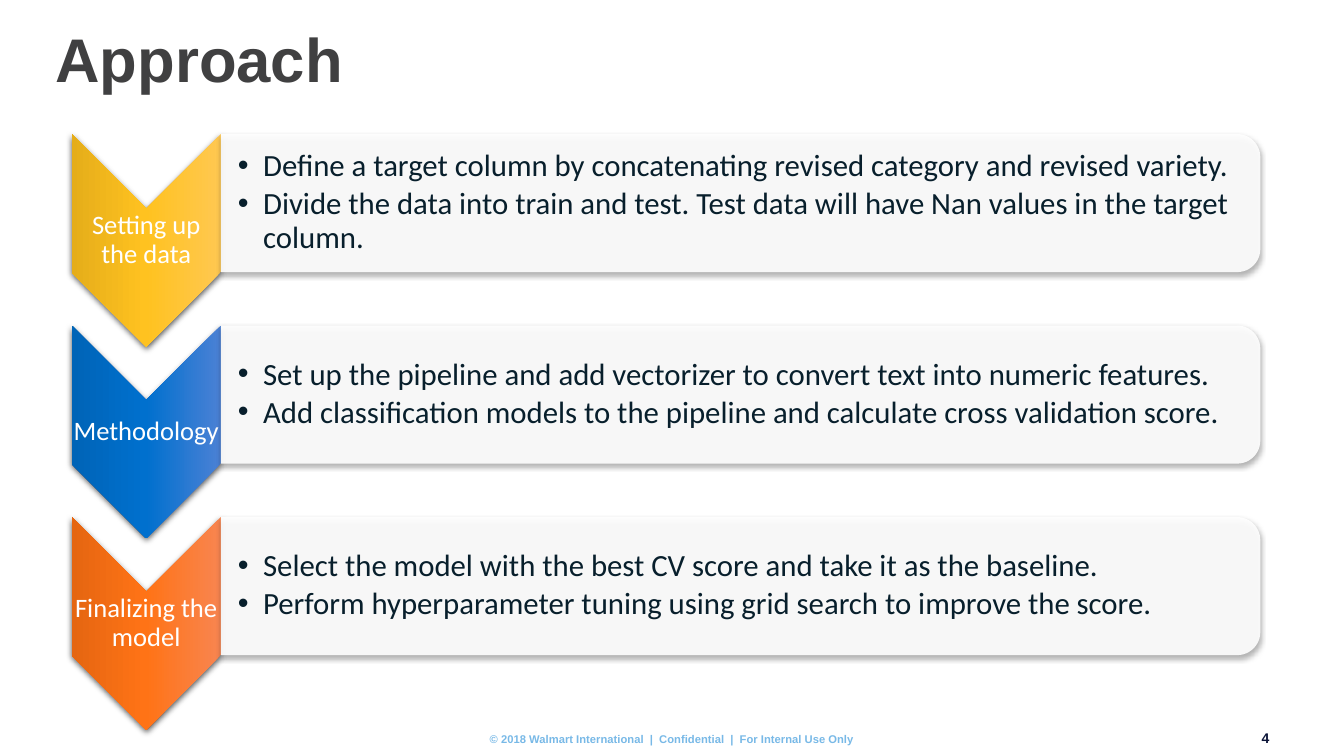
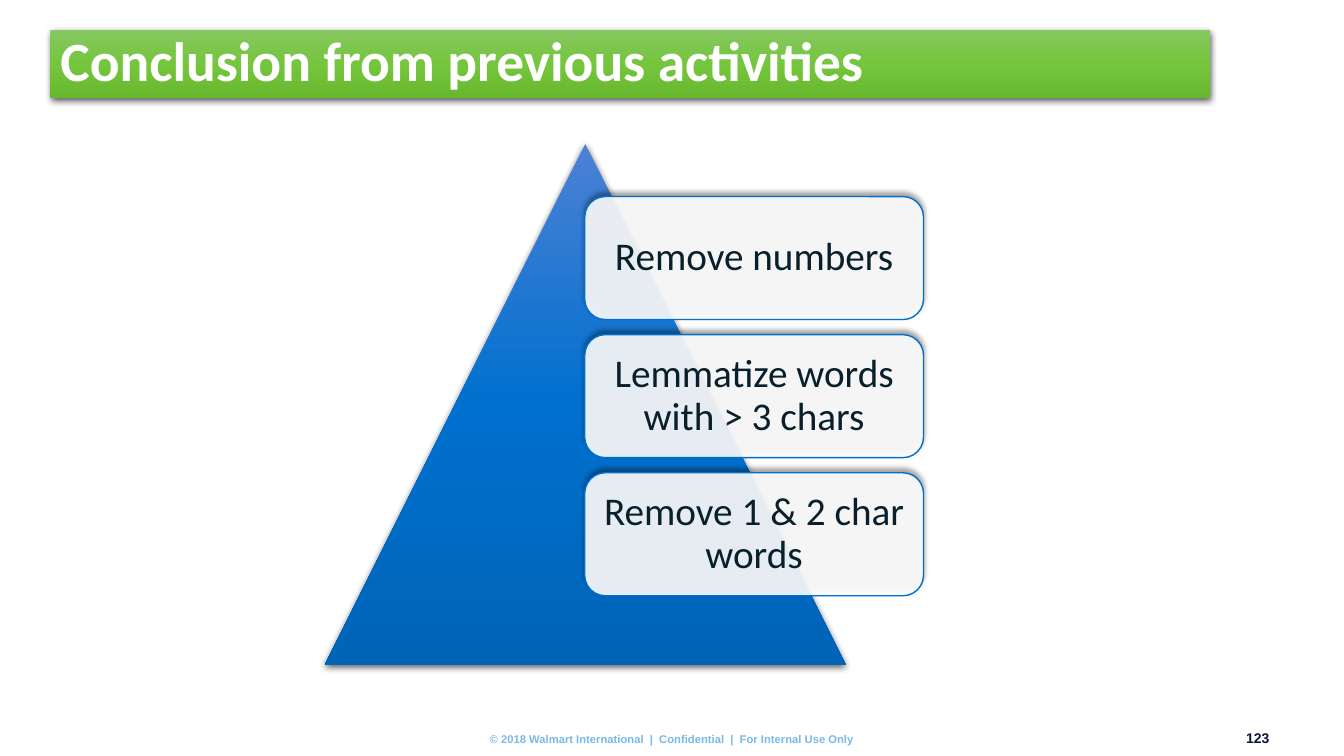
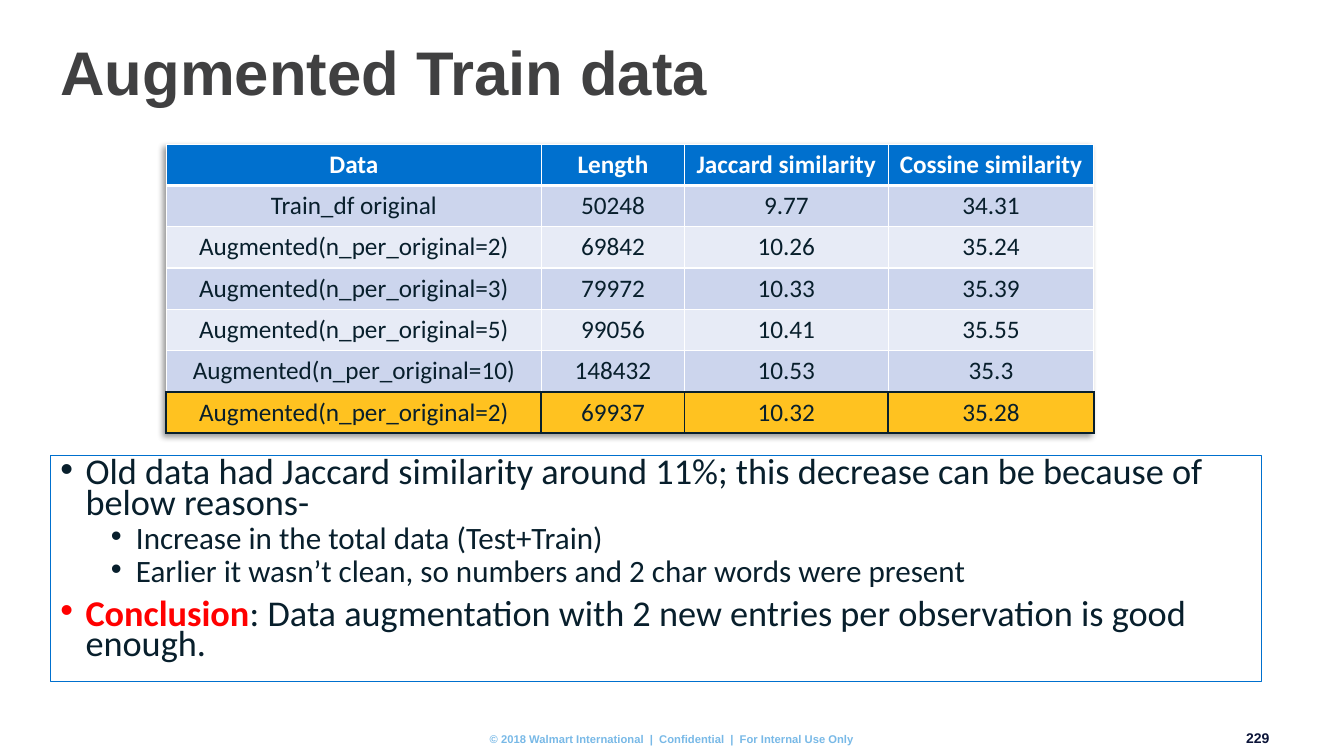
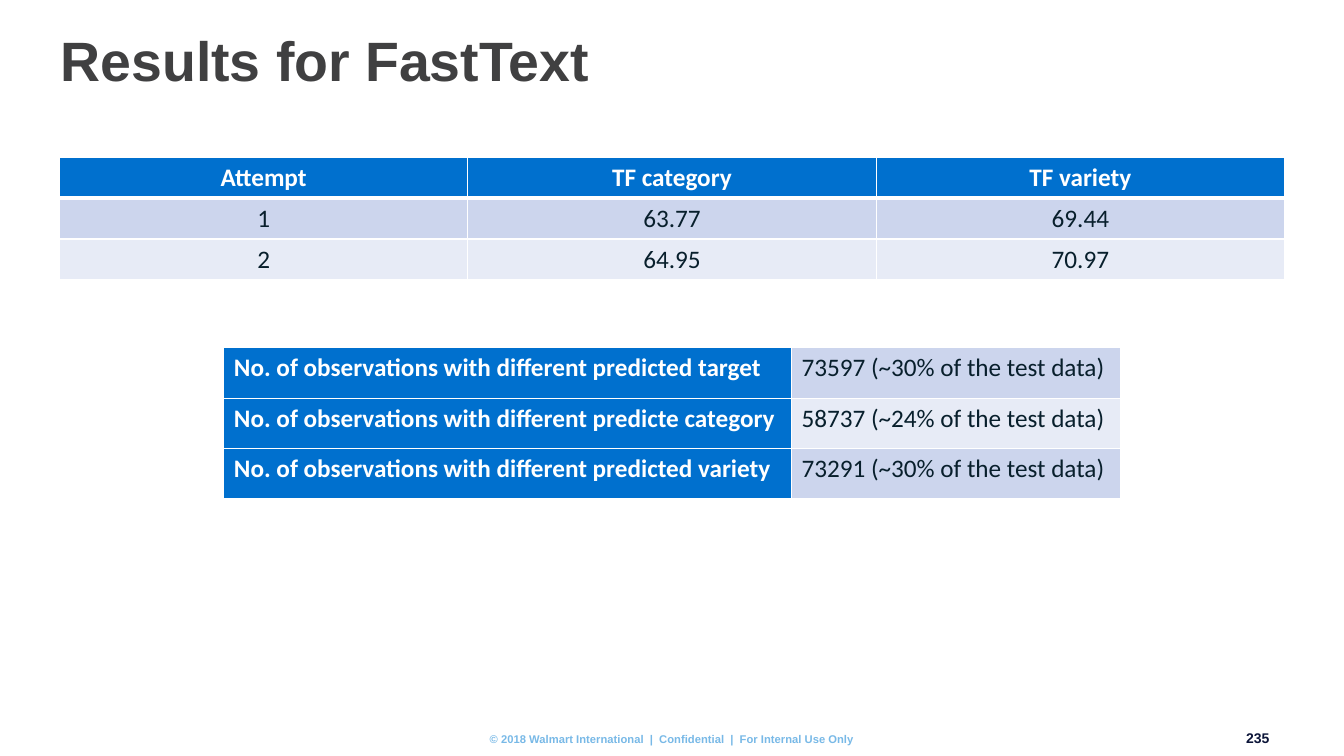
from copy import deepcopy

from lxml.etree import SubElement
from pptx import Presentation
from pptx.dml.color import RGBColor
from pptx.enum.shapes import MSO_SHAPE
from pptx.enum.text import MSO_ANCHOR, MSO_AUTO_SIZE, PP_ALIGN
from pptx.oxml.ns import qn
from pptx.util import Emu, Pt

PX = 9144  # EMU in one px, 100 px to the inch

COLORS = {
    "white": "FFFFFF", "ink": "081F2C", "title": "404041", "number": "0B1438",
    "footer": "78B9E7", "blue": "0070CE", "yellow": "FFC220", "red": "FF0000",
    "band_dark": "CCD5ED", "band_light": "E7EBF6", "black": "000000",
}
GRADIENTS = {
    "yellow": ("FFC851", "FFC220", "E5AD1A"),
    "blue": ("4B81D5", "0070CE", "0064B7"),
    "orange": ("F88550", "FF7316", "E56611"),
    "green": ("86C760", "75C63D", "67B72F"),
}
# Opacity in percent, blur and distance in points, direction in degrees
SHADOWS = {
    "strong": (63, 4.5, 1.5, 90),
    "soft": (32, 3.5, 2.2, 90),
    "upward": (40, 4, 3, 270),
    "table": (40, 4, 3, 135),
}
FOOTER = "© 2018 Walmart International  |  Confidential  |  For Internal Use Only"


def rgb(name):
    return RGBColor.from_string(COLORS[name])


def px(value):
    return Emu(int(value * PX))


class Deck:
    """The shared style and the page being drawn."""

    def __init__(self):
        self.deck = Presentation()
        self.deck.slide_width, self.deck.slide_height = px(1333), px(750)
        self.page = None

    def add_page(self, title, number, box, **style):
        self.page = self.deck.slides.add_slide(self.deck.slide_layouts[5])
        heading = self.page.shapes.title
        heading.left, heading.top, heading.width, heading.height = map(px, box)
        look = {"name": "Arial", "size": 44, "color": "title", "bold": True, **style}
        self.fill_frame(heading.text_frame, [title], align=PP_ALIGN.LEFT, spacing=0.9, **look)
        # Footer and page number
        self.text((455, 727, 423, 13), [FOOTER], inset=(0, 0, 0, 0), name="Arial",
                  size=8, color="footer", bold=True, align=PP_ALIGN.CENTER)
        self.text((1229, 724, 30, 17), [str(number)], inset=(0, 0, 0, 0), name="Arial",
                  size=10, color="number", bold=True, align=PP_ALIGN.RIGHT)
        return heading

    def fill_frame(self, frame, paragraphs, inset=(10, 5, 10, 5), anchor=MSO_ANCHOR.MIDDLE,
                   **style):
        """Each paragraph is a string or a pair of spans and its own style."""
        sides = ("margin_left", "margin_top", "margin_right", "margin_bottom")
        values = {"word_wrap": True, "auto_size": MSO_AUTO_SIZE.NONE,
                  "vertical_anchor": anchor, **dict(zip(sides, map(px, inset)))}
        for key, value in values.items():
            setattr(frame, key, value)
        for index, item in enumerate(paragraphs):
            spans, own = ([(item, {})], {}) if isinstance(item, str) else item
            para = frame.paragraphs[0] if index == 0 else frame.add_paragraph()
            self.fill_para(para, spans, index == 0, **{**style, **own})

    def fill_para(self, para, spans, first, align=PP_ALIGN.LEFT, spacing=1.0, before=0,
                  bullet=None, **style):
        if bullet is not None:
            props = para._p.get_or_add_pPr()
            props.set("marL", str(px(bullet)))
            props.set("indent", str(px(-25)))
            SubElement(props, qn("a:buFont"), typeface="Arial")
            SubElement(props, qn("a:buChar"), char="•")
        values = {"alignment": align, "line_spacing": spacing,
                  "space_before": Pt(0 if first else before), "space_after": Pt(0)}
        for key, value in values.items():
            setattr(para, key, value)
        for words, own in spans:
            span = para.add_run()
            span.text = words
            look = {"name": "Calibri", "size": 18, "color": "ink", "bold": False,
                    **style, **own}
            span.font.color.rgb = rgb(look.pop("color"))
            look["size"] = Pt(look["size"])
            for key, value in look.items():
                setattr(span.font, key, value)

    def text(self, box, paragraphs, **style):
        shape = self.page.shapes.add_textbox(*map(px, box))
        self.fill_frame(shape.text_frame, paragraphs, **style)
        return shape

    def shape(self, kind, box, turned=False, **paint):
        """The box is the place as seen, also for a shape turned by 90 degrees."""
        left, top, width, height = box
        if turned:
            shift = (width - height) / 2
            left, top, width, height = left + shift, top - shift, height, width
        shape = self.page.shapes.add_shape(kind, *map(px, (left, top, width, height)))
        shape.rotation = 90 if turned else 0
        self.paint(shape, **paint)
        return shape

    def paint(self, shape, gradient=None, fill="white", opacity=100, line=None, shadow=None):
        props = shape._element.spPr
        if gradient:
            shape.fill.gradient()
            stops = props.find(qn("a:gradFill")).find(qn("a:gsLst"))
            stops.append(deepcopy(stops[-1]))
            shape.fill.gradient_angle = 270
            for index, stop in enumerate(shape.fill.gradient_stops):
                stop.position = index / 2
                stop.color.rgb = RGBColor.from_string(GRADIENTS[gradient][index])
        else:
            shape.fill.solid()
            shape.fill.fore_color.rgb = rgb(fill)
            if opacity < 100:
                color = props.find(qn("a:solidFill")).find(qn("a:srgbClr"))
                SubElement(color, qn("a:alpha"), val=str(opacity * 1000))
        if line:
            shape.line.color.rgb = rgb(line)
            shape.line.width = Pt(1)
        else:
            shape.line.fill.background()
        shape.shadow.inherit = False
        if shadow:
            self.cast(props.find(qn("a:effectLst")), shadow)

    def cast(self, effects, shadow):
        opacity, blur, distance, angle = SHADOWS[shadow]
        outer = SubElement(effects, qn("a:outerShdw"), blurRad=str(Pt(blur)),
                           dist=str(Pt(distance)), dir=str(angle * 60000),
                           algn="ctr", rotWithShape="0")
        color = SubElement(outer, qn("a:srgbClr"), val=COLORS["black"])
        SubElement(color, qn("a:alpha"), val=str(opacity * 1000))

    def table(self, left, top, widths, row_height, rows, head="row", marked=None,
              align=PP_ALIGN.CENTER, shadow=None):
        frame = self.page.shapes.add_table(
            len(rows), len(widths), px(left), px(top), px(sum(widths)),
            px(row_height * len(rows)))
        table = frame.table
        table.first_row = table.horz_banding = False
        if shadow:
            props = table._tbl.tblPr
            effects = SubElement(props, qn("a:effectLst"))
            props.insert(0, effects)
            self.cast(effects, shadow)
        for column, width in zip(table.columns, widths):
            column.width = px(width)
        by_row = head == "row"

        def edge(index):
            """Colour and weight of the rule above a row."""
            if marked is not None and index in (marked, marked + 1):
                return "ink", 1.5
            return "white", 3 if by_row and index == 1 else 1

        for r, values in enumerate(rows):
            table.rows[r].height = px(row_height)
            side = ("ink", 1.5) if r == marked else ("white", 1)
            for c, value in enumerate(values):
                cell = table.cell(r, c)
                heading = (r if by_row else c) == 0
                band = ("band_dark", "band_light")[(r - by_row) % 2]
                fill = "blue" if heading else "yellow" if r == marked else band
                self.borders(cell, lnL=side, lnR=side, lnT=edge(r), lnB=edge(r + 1))
                cell.fill.solid()
                cell.fill.fore_color.rgb = rgb(fill)
                self.fill_para(cell.text_frame.paragraphs[0], [(value, {})], True,
                               align=align, bold=heading,
                               color="white" if heading else "ink")

    def borders(self, cell, **edges):
        props = cell._tc.get_or_add_tcPr()
        for tag, (color, weight) in edges.items():
            line = SubElement(props, qn("a:" + tag), w=str(Pt(weight)))
            SubElement(SubElement(line, qn("a:solidFill")), qn("a:srgbClr"), val=COLORS[color])


def approach(deck):
    deck.add_page("Approach", 4, (45, 16, 1150, 93))
    steps = [
        ("yellow", "Setting up the data", [
            "Define a target column by concatenating revised category and revised variety.",
            "Divide the data into train and test. Test data will have Nan values in the "
            "target column."]),
        ("blue", "Methodology", [
            "Set up the pipeline and add vectorizer to convert text into numeric features.",
            "Add classification models to the pipeline and calculate cross validation score."]),
        ("orange", "Finalizing the model", [
            "Select the model with the best CV score and take it as the baseline.",
            "Perform hyperparameter tuning using grid search to improve the score."]),
    ]
    for index, (gradient, label, points) in enumerate(steps):
        top = 133 + index * 190
        deck.shape(MSO_SHAPE.CHEVRON, (71, top, 148, 211), turned=True,
                   gradient=gradient, shadow="strong")
        deck.text((71, top + 74, 148, 63), [label], inset=(1, 1, 1, 1), size=19,
                  color="white", align=PP_ALIGN.CENTER, spacing=0.9)
        deck.shape(MSO_SHAPE.ROUND_2_SAME_RECTANGLE, (219, top, 1031, 137), turned=True,
                   opacity=90, shadow="soft")
        deck.text((219, top + 6, 1024, 124), points, inset=(17, 2, 2, 2), size=22,
                  spacing=0.9, before=3.3, bullet=25)


def conclusion(deck):
    heading = deck.add_page("Conclusion from previous activities", 123, (50, 30, 1150, 67),
                            name="Calibri", size=39.6, color="white")
    deck.paint(heading, gradient="green", shadow="strong")
    deck.shape(MSO_SHAPE.ISOSCELES_TRIANGLE, (322, 143, 517, 517),
               gradient="blue", shadow="strong")
    actions = ["Remove numbers", "Lemmatize words with > 3 chars", "Remove 1 & 2 char words"]
    for index, action in enumerate(actions):
        card = deck.shape(MSO_SHAPE.ROUNDED_RECTANGLE, (580, 195 + index * 137, 336, 122),
                          opacity=90, line="blue", shadow="upward")
        deck.fill_frame(card.text_frame, [action], inset=(12, 12, 12, 12), size=28,
                        align=PP_ALIGN.CENTER, spacing=0.9)


def augmented_data(deck):
    deck.add_page("Augmented Train data", 229, (50, 32, 1150, 85))
    # Findings
    findings = deck.shape(MSO_SHAPE.RECTANGLE, (50, 452, 1201, 224), line="blue")
    minor = {"bullet": 75, "size": 22.2, "before": 5}
    deck.fill_frame(findings.text_frame, [
        "Old data had Jaccard similarity around 11%; this decrease can be because of "
        "below reasons-",
        ([("Increase in the total data (Test+Train)", {})], minor),
        ([("Earlier it wasn’t clean, so numbers and 2 char words were present", {})], minor),
        ([("Conclusion", {"color": "red", "bold": True}),
          (": Data augmentation with 2 new entries per observation is good enough.", {})], {}),
    ], anchor=MSO_ANCHOR.TOP, size=25.9, spacing=0.7, before=10, bullet=25)
    # Similarity by data set
    deck.table(165, 143, (372, 142, 202, 204), 41, [
        ("Data", "Length", "Jaccard similarity", "Cossine similarity"),
        ("Train_df original", "50248", "9.77", "34.31"),
        ("Augmented(n_per_original=2)", "69842", "10.26", "35.24"),
        ("Augmented(n_per_original=3)", "79972", "10.33", "35.39"),
        ("Augmented(n_per_original=5)", "99056", "10.41", "35.55"),
        ("Augmented(n_per_original=10)", "148432", "10.53", "35.3"),
        ("Augmented(n_per_original=2)", "69937", "10.32", "35.28"),
    ], marked=6, shadow="table")


def results(deck):
    deck.add_page("Results for FastText", 235, (50, 30, 1150, 66), size=39.6)
    deck.table(59, 156, (405, 405, 405), 40, [
        ("Attempt", "TF category", "TF variety"),
        ("1", "63.77", "69.44"),
        ("2", "64.95", "70.97"),
    ])
    deck.table(222, 345, (563, 326), 50, [
        ("No. of observations with different predicted target", "73597 (~30% of the test data)"),
        ("No. of observations with different predicte category", "58737 (~24% of the test data)"),
        ("No. of observations with different predicted variety", "73291 (~30% of the test data)"),
    ], head="column", align=PP_ALIGN.LEFT)


def main():
    deck = Deck()
    for build in (approach, conclusion, augmented_data, results):
        build(deck)
    deck.deck.save("out.pptx")


if __name__ == "__main__":
    main()
